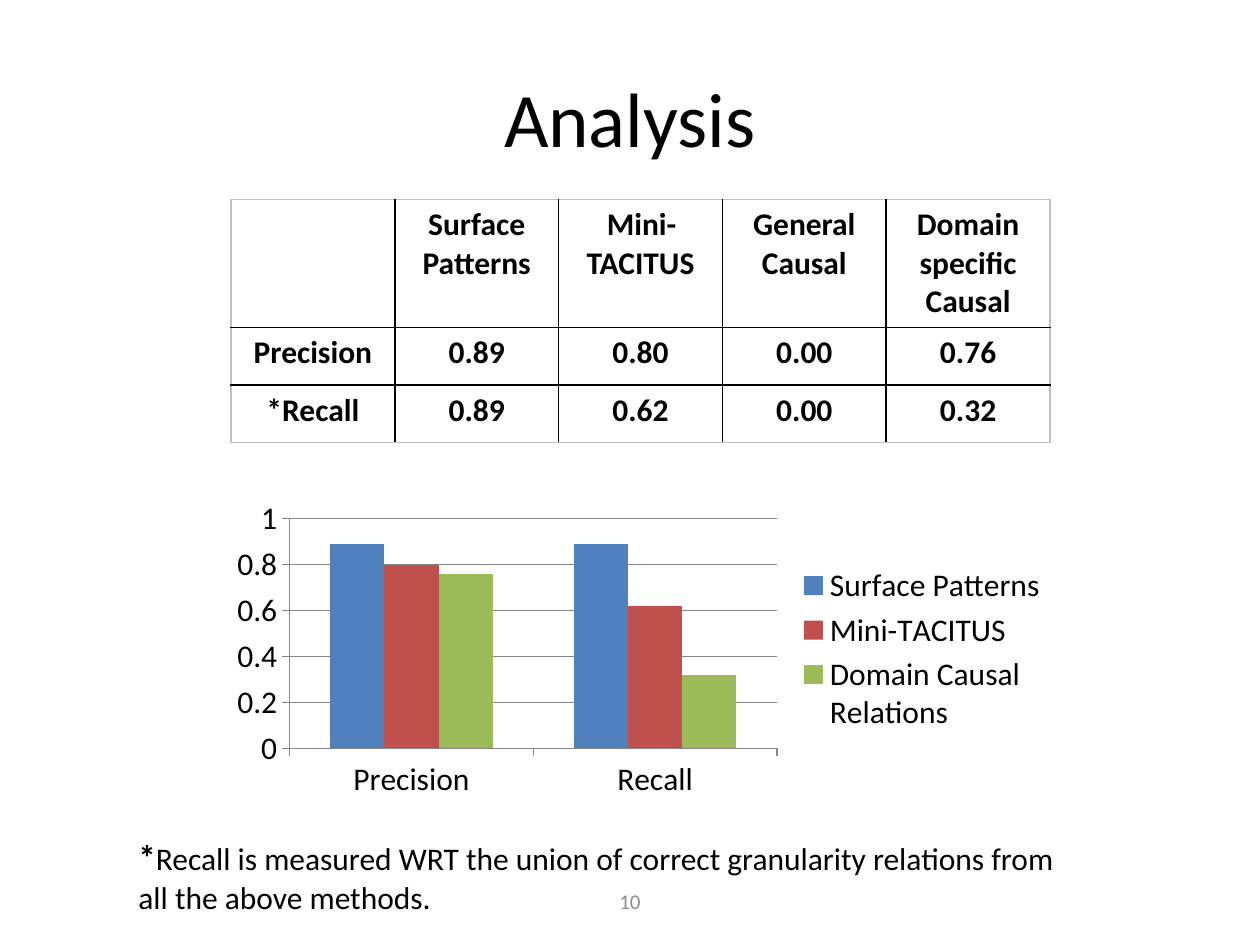
import lxml.etree
import pptx
import pptx.chart.data
import pptx.dml.color
import pptx.enum.chart
import pptx.enum.text
import pptx.oxml.ns
import pptx.util
from dataclasses import dataclass

Pt = pptx.util.Pt
Align = pptx.enum.text.PP_ALIGN
Anchor = pptx.enum.text.MSO_ANCHOR
Tick = pptx.enum.chart.XL_TICK_MARK
qn = pptx.oxml.ns.qn


@dataclass
class Theme:
    font: str = "Calibri"
    ink: str = "000000"
    mute: str = "8C8C8C"
    grid: str = "868686"
    edge: str = "C0C0C0"
    bars: tuple = ("4F81BD", "C0504D", "9BBB59")
    title: int = 44
    star: int = 20
    body: int = 18
    small: int = 12


def tint(code):
    return pptx.dml.color.RGBColor.from_string(code)


def style(font, name, size, color, bold=False):
    font.name = name
    font.size = Pt(size)
    font.bold = bold
    font.color.rgb = tint(color)


def write(frame, text, font, size, color, bold=False, align=Align.LEFT):
    part = frame.paragraphs[0]
    part.alignment = align
    run = part.add_run()
    run.text = text
    style(run.font, font, size, color, bold)


class Deck:
    def __init__(self, theme):
        self.theme = theme
        self.file = pptx.Presentation()
        self.file.slide_width = Pt(720)
        self.file.slide_height = Pt(540)
        self.slide = self.file.slides.add_slide(self.file.slide_layouts[6])

    def text(self, box, runs, color, align=Align.LEFT, anchor=Anchor.TOP):
        frame = self.slide.shapes.add_textbox(*map(Pt, box)).text_frame
        frame.word_wrap = True
        frame.vertical_anchor = anchor
        for text, size, bold in runs:
            write(frame, text, self.theme.font, size, color, bold, align)

    def border(self, cell, sides):
        props = cell._tc.get_or_add_tcPr()
        for spot, (side, color) in enumerate(sides.items()):
            line = lxml.etree.Element(qn("a:ln" + side), w=str(Pt(1)))
            fill = lxml.etree.SubElement(line, qn("a:solidFill"))
            lxml.etree.SubElement(fill, qn("a:srgbClr"), val=color)
            props.insert(spot, line)

    def table(self, box, rows, heights):
        theme = self.theme
        high, wide = len(rows), len(rows[0])
        table = self.slide.shapes.add_table(high, wide, *map(Pt, box)).table
        table.first_row = table.horz_banding = False
        for col in table.columns:
            col.width = Pt(box[2] / wide)
        for r, (row, height) in enumerate(zip(rows, heights)):
            table.rows[r].height = Pt(height)
            for c, text in enumerate(row):
                cell = table.cell(r, c)
                cell.fill.background()
                outer = {"L": c == 0, "R": c == wide - 1,
                         "T": r == 0, "B": r == high - 1}
                self.border(cell, {side: theme.edge if out else theme.ink
                                   for side, out in outer.items()})
                write(cell.text_frame, text, theme.font, theme.body,
                      theme.ink, True, Align.CENTER)

    def chart(self, box, cats, series):
        theme = self.theme
        data = pptx.chart.data.CategoryChartData()
        data.categories = cats
        for name, vals in series.items():
            data.add_series(name, vals)
        kind = pptx.enum.chart.XL_CHART_TYPE.COLUMN_CLUSTERED
        chart = self.slide.shapes.add_chart(kind, *map(Pt, box), data).chart
        style(chart.font, theme.font, theme.body, theme.ink)
        chart.has_title = False
        chart.has_legend = True
        chart.legend.position = pptx.enum.chart.XL_LEGEND_POSITION.RIGHT
        chart.legend.include_in_layout = False
        plot = chart.plots[0]
        plot.vary_by_categories = False
        plot.gap_width = 150
        plot.overlap = 0
        for item, color in zip(plot.series, theme.bars):
            item.invert_if_negative = False
            item.format.fill.solid()
            item.format.fill.fore_color.rgb = tint(color)
        scale = chart.value_axis
        scale.minimum_scale, scale.maximum_scale = 0, 1
        scale.major_unit = 0.2
        scale.has_major_gridlines = True
        for axis in (chart.category_axis, scale):
            axis.major_tick_mark = Tick.OUTSIDE
            axis.minor_tick_mark = Tick.NONE
        for part in (chart.category_axis, scale, scale.major_gridlines):
            part.format.line.color.rgb = tint(theme.grid)
            part.format.line.width = Pt(0.75)


def main():
    theme = Theme()
    deck = Deck(theme)
    deck.text((36, 21.6, 648, 90), [("Analysis", theme.title, False)],
              theme.ink, Align.CENTER, Anchor.MIDDLE)
    deck.text((246, 500.5, 228, 28.75), [("10", theme.small, False)],
              theme.mute, Align.CENTER, Anchor.MIDDLE)
    deck.table((132, 114, 468, 139), [
        ("", "Surface Patterns", "Mini-TACITUS", "General Causal",
         "Domain specific Causal"),
        ("Precision", "0.89", "0.80", "0.00", "0.76"),
        ("*Recall", "0.89", "0.62", "0.00", "0.32"),
    ], (73, 33, 33))
    deck.chart((126, 282, 480, 178), ("Precision", "Recall"), {
        "Surface Patterns": (0.89, 0.89),
        "Mini-TACITUS": (0.8, 0.62),
        "Domain Causal Relations": (0.76, 0.32),
    })
    deck.text((72, 474, 558, 53), [
        ("*", theme.star, True),
        ("Recall is measured WRT the union of correct granularity relations "
         "from all the above methods.", theme.body, False),
    ], theme.ink)
    deck.file.save("out.pptx")


if __name__ == "__main__":
    main()
